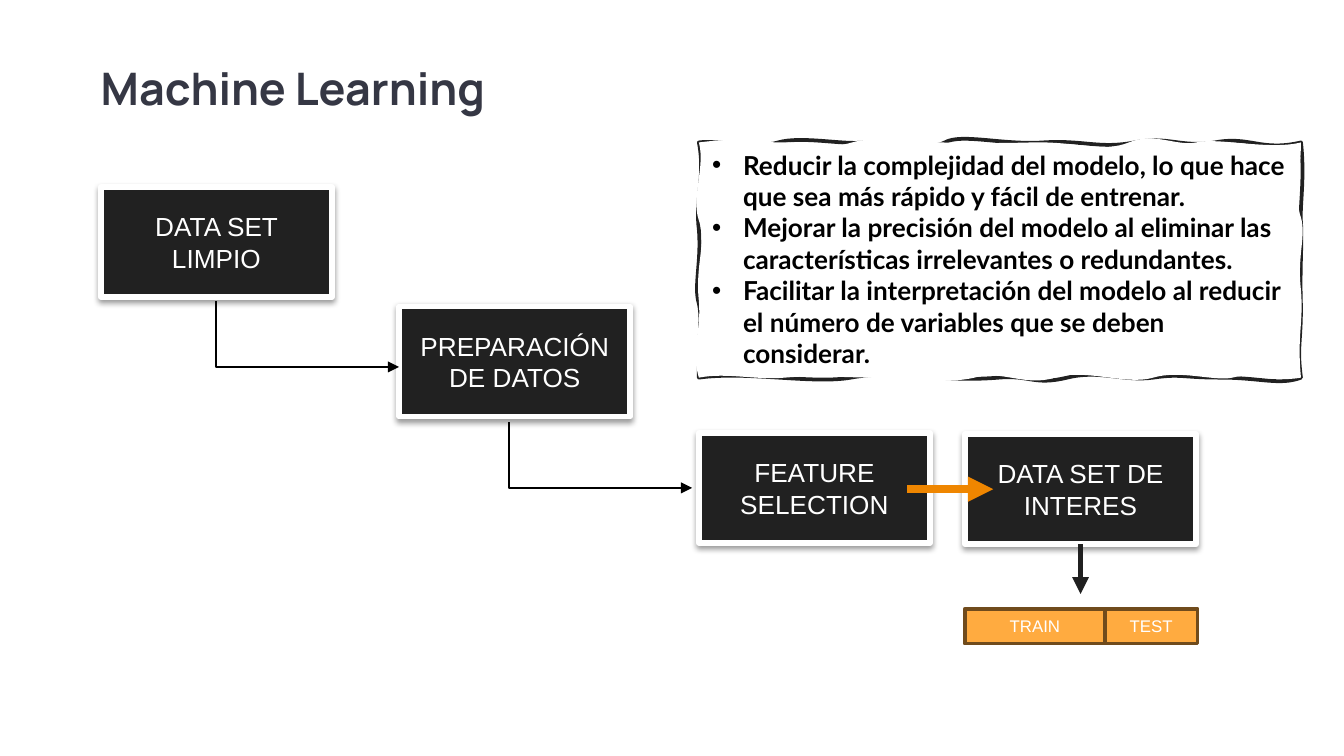
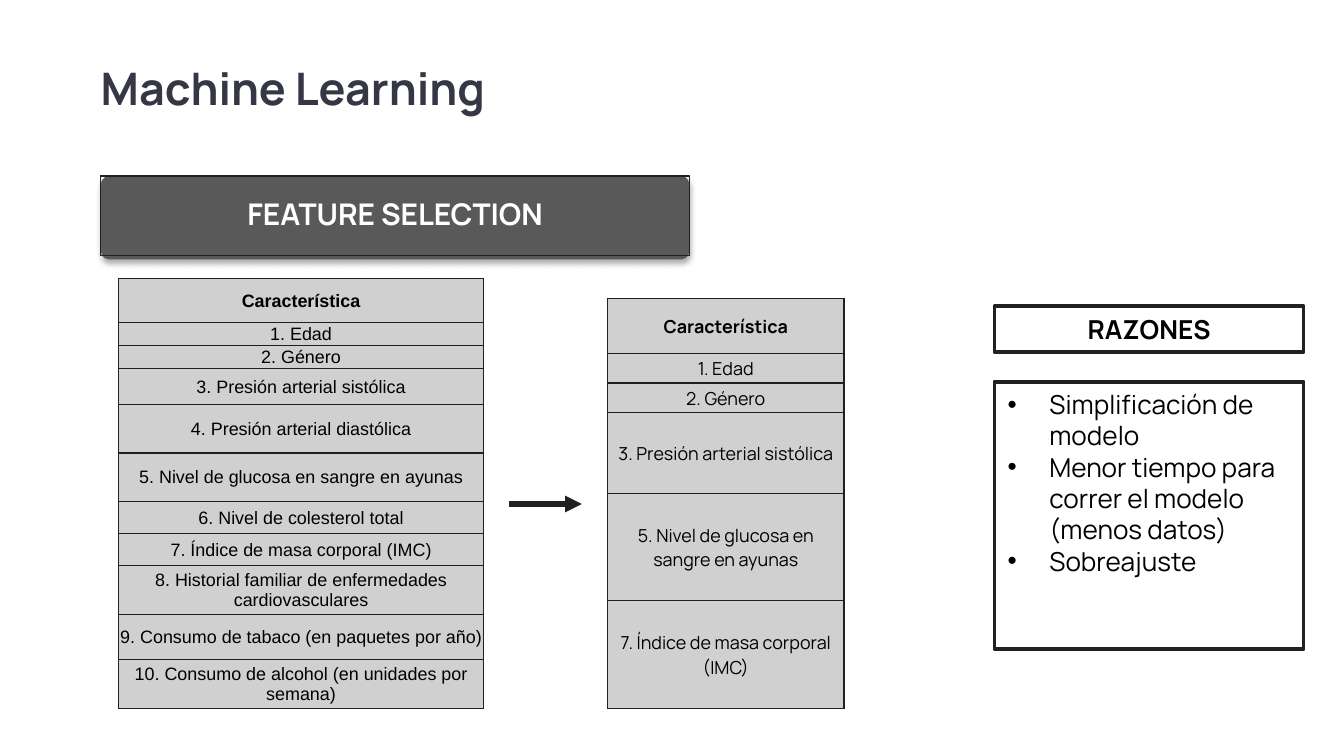
from dataclasses import dataclass
from typing import Any, Optional

import lxml.etree
import pptx
import pptx.dml.color
import pptx.enum.shapes
import pptx.enum.text
import pptx.oxml.ns
import pptx.util

Inches = pptx.util.Inches
Pt = pptx.util.Pt
SHAPES = pptx.enum.shapes.MSO_SHAPE
CONNECTORS = pptx.enum.shapes.MSO_CONNECTOR
ALIGN = pptx.enum.text.PP_ALIGN
ANCHOR = pptx.enum.text.MSO_ANCHOR

WHITE, BLACK, INK, LINE = "FFFFFF", "000000", "212121", "202020"
TITLE, BAND, CELL = "353744", "595959", "D0D0D0"
AMBER, BROWN, ORANGE = "FFAB40", "704B1C", "EF8600"


@dataclass(frozen=True)
class Frame:
    """Position and size in inches."""
    left: float
    top: float
    width: float
    height: float

    def lengths(self) -> tuple:
        """Return the four values as lengths."""
        return tuple(Inches(v) for v in (self.left, self.top, self.width, self.height))


@dataclass(frozen=True)
class TextStyle:
    """Look of the paragraphs in a box."""
    font: str
    size: float
    color: str
    bold: bool = False
    align: Any = ALIGN.CENTER
    anchor: Any = ANCHOR.MIDDLE
    spacing: Optional[float] = None
    bullet_indent: float = 0
    grow: bool = False
    margins: Optional[tuple] = None


@dataclass(frozen=True)
class BoxStyle:
    """Fill, outline and shadow of a box."""
    fill: Optional[str]
    line: Optional[str] = None
    width: float = 0
    shadow: Optional[tuple] = None


@dataclass(frozen=True)
class Stage:
    """One step of the workflow."""
    label: str
    left: float
    top: float


@dataclass(frozen=True)
class Arrow:
    """A straight arrow between two points."""
    start: tuple
    end: tuple
    color: str = LINE
    width: float = 3


@dataclass(frozen=True)
class FeatureTable:
    """A one-column list of features."""
    frame: Frame
    font: str
    rows: tuple


TITLE_TEXT = TextStyle("Manrope", 24, TITLE, True, ALIGN.LEFT, ANCHOR.TOP, 0.9,
                       margins=(0, 0, 0, 0))
STAGE_TEXT = TextStyle("Arial", 14, WHITE)
SPLIT_TEXT = TextStyle("Arial", 9, WHITE)
BENEFIT_TEXT = TextStyle("Lato", 14, BLACK, True, ALIGN.LEFT, ANCHOR.TOP,
                         bullet_indent=0.23, grow=True)
BAND_TEXT = TextStyle("Manrope", 16, WHITE, True, spacing=0.9, margins=(0.07,) * 4)
REASON_HEAD_TEXT = TextStyle("Manrope", 14, BLACK, True, anchor=ANCHOR.TOP, grow=True)
REASON_TEXT = TextStyle("Manrope", 14, BLACK, False, ALIGN.LEFT, ANCHOR.TOP,
                        bullet_indent=0.31, grow=True)

STAGE_BOX = BoxStyle(INK, WHITE, 3, (38, 3.1, 1.6))
SPLIT_BOX = BoxStyle(AMBER, BROWN, 2)
PANEL_BOX = BoxStyle(WHITE, INK, 2)
BAND_BOX = BoxStyle(BAND, shadow=(35, 3.1, 1.8))
BAND_FRAME_BOX = BoxStyle(None, INK, 0.75)

STAGES = (
    Stage("DATA SET LIMPIO", 0.75, 1.39),
    Stage("PREPARACIÓN DE DATOS", 2.97, 2.28),
    Stage("DATA SET DE INTERES", 7.18, 3.23),
    Stage("FEATURE SELECTION", 5.2, 3.22),
)
BENEFITS = (
    "Reducir la complejidad del modelo, lo que hace que sea más rápido y fácil de entrenar.",
    "Mejorar la precisión del modelo al eliminar las características irrelevantes o redundantes.",
    "Facilitar la interpretación del modelo al reducir el número de variables que se deben considerar.",
)
REASONS = ("Simplificación de modelo", "Menor tiempo para correr el modelo (menos datos)",
           "Sobreajuste")
HEADER, AGE, GENDER = "Característica", "1. Edad", "2. Género"
SYSTOLIC = "3. Presión arterial sistólica"
GLUCOSE = "5. Nivel de glucosa en sangre en ayunas"
BODY_MASS = "7. Índice de masa corporal (IMC)"
TABLES = (
    FeatureTable(Frame(0.88, 2.07, 2.72, 3.2), "Arial", (
        (HEADER, 0.33), (AGE, 0.17), (GENDER, 0.17), (SYSTOLIC, 0.27),
        ("4. Presión arterial diastólica", 0.36), (GLUCOSE, 0.36),
        ("6. Nivel de colesterol total", 0.24), (BODY_MASS, 0.24),
        ("8. Historial familiar de enfermedades cardiovasculares", 0.36),
        ("9. Consumo de tabaco (en paquetes por año)", 0.34),
        ("10. Consumo de alcohol (en unidades por semana)", 0.36))),
    FeatureTable(Frame(4.52, 2.22, 1.76, 3.05), "Manrope", (
        (HEADER, 0.41), (AGE, 0.22), (GENDER, 0.22), (SYSTOLIC, 0.6),
        (GLUCOSE, 0.8), (BODY_MASS, 0.8))),
)

SKETCH_FRAME = Frame(5.2, 1.06, 4.48, 1.75)
SKETCH_OUTLINE = (
    (534, 104, 562, 111, 579, 106), (596, 101, 628, 108, 643, 106),
    (658, 104, 690, 113, 703, 106), (715, 99, 746, 108, 776, 106),
    (806, 104, 818, 111, 844, 106), (870, 101, 878, 110, 904, 106),
    (930, 101, 938, 113, 968, 106), (971, 133, 967, 153, 968, 166),
    (969, 179, 967, 200, 968, 228), (968, 256, 965, 258, 968, 281),
    (952, 287, 938, 281, 908, 281), (879, 281, 879, 278, 858, 281),
    (836, 284, 818, 275, 794, 281), (769, 287, 767, 279, 743, 281),
    (719, 283, 704, 281, 692, 281), (681, 281, 661, 276, 633, 281),
    (605, 286, 556, 276, 520, 281), (519, 254, 523, 239, 520, 226),
    (516, 213, 522, 195, 520, 171), (517, 148, 525, 132, 520, 106),
)
SKETCH_FILL = (
    (551, 102, 557, 106, 584, 106), (610, 106, 617, 111, 634, 106),
    (651, 101, 671, 106, 694, 106), (716, 106, 732, 107, 767, 106),
    (802, 105, 820, 114, 840, 106), (859, 98, 875, 109, 890, 106),
    (906, 102, 944, 112, 968, 106), (968, 124, 963, 149, 968, 162),
    (972, 176, 965, 190, 968, 216), (970, 241, 965, 249, 968, 281),
    (945, 285, 931, 277, 917, 281), (904, 284, 878, 275, 858, 281),
    (838, 287, 808, 274, 785, 281), (762, 288, 746, 275, 725, 281),
    (704, 286, 675, 281, 652, 281), (629, 281, 606, 279, 584, 281),
    (562, 283, 541, 277, 520, 281), (513, 256, 522, 252, 520, 224),
    (517, 197, 526, 181, 520, 164), (514, 147, 525, 124, 520, 106),
)


def rgb(value: str) -> Any:
    """Turn a hex string into a colour."""
    return pptx.dml.color.RGBColor.from_string(value)


def add_child(parent: Any, tag: str, **attributes: Any) -> Any:
    """Append a drawing element to a parent."""
    return lxml.etree.SubElement(parent, pptx.oxml.ns.qn(f"a:{tag}"),
                                 {key: str(value) for key, value in attributes.items()})


def write_text(text_frame: Any, lines: tuple, style: TextStyle) -> None:
    """Write styled paragraphs into a text frame."""
    text_frame.word_wrap = True
    text_frame.vertical_anchor = style.anchor
    if style.grow:
        text_frame.auto_size = pptx.enum.text.MSO_AUTO_SIZE.SHAPE_TO_FIT_TEXT
    if style.margins:
        (text_frame.margin_left, text_frame.margin_top, text_frame.margin_right,
         text_frame.margin_bottom) = map(Inches, style.margins)
    text_frame.text = "\n".join(lines)
    for paragraph in text_frame.paragraphs:
        paragraph.alignment = style.align
        if style.spacing:
            paragraph.line_spacing = style.spacing
        if style.bullet_indent:
            indent = Inches(style.bullet_indent)
            properties = paragraph._p.get_or_add_pPr()
            properties.set("marL", str(indent))
            properties.set("indent", str(-indent))
            add_child(add_child(properties, "buClr"), "srgbClr", val=BLACK)
            add_child(properties, "buFont", typeface="Arial")
            add_child(properties, "buChar", char="•")
        set_font(paragraph, style)


def set_font(paragraph: Any, style: TextStyle) -> None:
    """Apply the font of a style to a paragraph."""
    font = paragraph.font
    font.name, font.size, font.bold = style.font, Pt(style.size), style.bold
    font.color.rgb = rgb(style.color)


def paint(shape: Any, style: BoxStyle) -> None:
    """Set fill, outline and shadow of a shape."""
    shape.shadow.inherit = False
    if style.fill:
        shape.fill.solid()
        shape.fill.fore_color.rgb = rgb(style.fill)
    else:
        shape.fill.background()
    if style.line:
        shape.line.color.rgb = rgb(style.line)
        shape.line.width = Pt(style.width)
    else:
        shape.line.fill.background()
    if style.shadow:
        alpha, blur, distance = style.shadow
        effects = shape.element.spPr.find(pptx.oxml.ns.qn("a:effectLst"))
        shadow = add_child(effects, "outerShdw", blurRad=Pt(blur), dist=Pt(distance),
                           dir=90 * 60000, algn="t", rotWithShape=0)
        add_child(add_child(shadow, "srgbClr", val=BLACK), "alpha", val=alpha * 1000)


def add_box(shapes: Any, frame: Frame, box: BoxStyle, lines: tuple = (),
            text: Optional[TextStyle] = None, kind: Any = SHAPES.RECTANGLE) -> Any:
    """Draw a box with optional text."""
    shape = shapes.add_shape(kind, *frame.lengths())
    paint(shape, box)
    if text:
        write_text(shape.text_frame, lines, text)
    return shape


def finish_arrow(connector: Any, color: str, width: float) -> None:
    """Give a connector its colour, width and arrowhead."""
    connector.line.color.rgb = rgb(color)
    connector.line.width = Pt(width)
    properties = connector.element.spPr
    add_child(properties.find(pptx.oxml.ns.qn("a:ln")), "tailEnd", type="triangle")
    add_child(properties, "effectLst")


def add_arrow(slide: Any, arrow: Arrow) -> Any:
    """Draw a straight arrow."""
    connector = slide.shapes.add_connector(
        CONNECTORS.STRAIGHT, *map(Inches, arrow.start + arrow.end))
    finish_arrow(connector, arrow.color, arrow.width)
    return connector


def add_corner_arrow(slide: Any, left: float, top: float) -> None:
    """Draw an arrow that goes down and then right."""
    across, down = 1.36, 0.49
    x, y = left + (across - down) / 2, top + (down - across) / 2
    connector = slide.shapes.add_connector(
        CONNECTORS.ELBOW, Inches(x + down), Inches(y), Inches(x), Inches(y + across))
    properties = connector.element.spPr
    properties.find(pptx.oxml.ns.qn("a:prstGeom")).set("prst", "bentConnector2")
    properties.find(pptx.oxml.ns.qn("a:xfrm")).set("rot", str(270 * 60000))
    finish_arrow(connector, BLACK, 1)


def add_sketch_panel(slide: Any, frame: Frame) -> None:
    """Draw the hand-drawn panel with the benefits."""
    left, top, width, height = frame.lengths()
    builder = slide.shapes.build_freeform(left, top)
    builder.add_line_segments(
        [(left + width, top), (left + width, top + height), (left, top + height)])
    shape = builder.convert_to_shape()
    contours = next(shape.element.iter(pptx.oxml.ns.qn("a:pathLst")))
    contours.remove(contours[0])
    origin = (round(frame.left * 100), round(frame.top * 100))
    for curves, flags in ((SKETCH_OUTLINE, {"fill": "none"}), (SKETCH_FILL, {"stroke": 0})):
        contour = add_child(contours, "path", w=round(frame.width * 100),
                            h=round(frame.height * 100), **flags)
        add_child(add_child(contour, "moveTo"), "pt", x=0, y=0)
        for curve in curves:
            bezier = add_child(contour, "cubicBezTo")
            for x, y in zip(curve[::2], curve[1::2]):
                add_child(bezier, "pt", x=x - origin[0], y=y - origin[1])
        add_child(contour, "close")
    paint(shape, PANEL_BOX)
    write_text(shape.text_frame, BENEFITS, BENEFIT_TEXT)


def add_feature_table(slide: Any, features: FeatureTable) -> None:
    """Draw a bordered one-column table."""
    table = slide.shapes.add_table(len(features.rows), 1, *features.frame.lengths()).table
    table.first_row = table.horz_banding = False
    for index, (label, height) in enumerate(features.rows):
        table.rows[index].height = Inches(height)
        cell = table.cell(index, 0)
        cell.text = label
        cell.vertical_anchor = ANCHOR.MIDDLE
        cell.margin_left = cell.margin_top = cell.margin_right = Inches(0.01)
        cell.margin_bottom = 0
        properties = cell._tc.get_or_add_tcPr()
        for side in ("lnL", "lnR", "lnT", "lnB"):
            border = add_child(properties, side, w=Pt(0.75))
            add_child(add_child(border, "solidFill"), "srgbClr", val=LINE)
        cell.fill.solid()
        cell.fill.fore_color.rgb = rgb(CELL)
        paragraph = cell.text_frame.paragraphs[0]
        paragraph.alignment = ALIGN.CENTER
        set_font(paragraph, TextStyle(features.font, 9.6, BLACK, index == 0))


def add_titled_slide(presentation: Any) -> Any:
    """Add a blank slide with the shared title."""
    slide = presentation.slides.add_slide(presentation.slide_layouts[6])
    title = slide.shapes.add_textbox(*Frame(0.75, 0.5, 7.44, 0.43).lengths())
    write_text(title.text_frame, ("Machine Learning",), TITLE_TEXT)
    return slide


def build_workflow(presentation: Any) -> None:
    """Build the slide with the workflow."""
    slide = add_titled_slide(presentation)
    boxes = {stage.label: add_box(slide.shapes, Frame(stage.left, stage.top, 1.72, 0.82),
                                  STAGE_BOX, (stage.label,), STAGE_TEXT)
             for stage in STAGES}
    for left, top in ((1.61, 2.24), (3.79, 3.14)):
        add_corner_arrow(slide, left, top)
    split = slide.shapes.add_group_shape()
    for label, left, width in (("TRAIN", 7.18, 1.04), ("TEST", 8.22, 0.69)):
        add_box(split.shapes, Frame(left, 4.53, width, 0.26), SPLIT_BOX, (label,), SPLIT_TEXT)
    down = add_arrow(slide, Arrow((8.04, 4.05), (8.04, 4.42)))
    down.begin_connect(boxes["DATA SET DE INTERES"], 2)
    add_arrow(slide, Arrow((6.75, 3.64), (7.39, 3.64), ORANGE, 4.5))
    add_sketch_panel(slide, SKETCH_FRAME)


def build_selection(presentation: Any) -> None:
    """Build the slide with the selected features."""
    slide = add_titled_slide(presentation)
    band = add_box(slide.shapes, Frame(0.75, 1.31, 4.38, 0.62), BAND_BOX,
                   kind=SHAPES.ROUNDED_RECTANGLE)
    band.adjustments[0] = 0.1
    add_box(slide.shapes, Frame(0.75, 1.31, 4.38, 0.59), BAND_FRAME_BOX,
            ("FEATURE SELECTION",), BAND_TEXT)
    for features in TABLES:
        add_feature_table(slide, features)
    add_arrow(slide, Arrow((3.79, 3.75), (4.33, 3.75)))
    add_box(slide.shapes, Frame(7.4, 2.84, 2.3, 1.99), PANEL_BOX, REASONS, REASON_TEXT)
    add_box(slide.shapes, Frame(7.4, 2.28, 2.3, 0.34), PANEL_BOX, ("RAZONES",), REASON_HEAD_TEXT)


def main() -> None:
    """Build and save the presentation."""
    presentation = pptx.Presentation()
    presentation.slide_width = Inches(10)
    presentation.slide_height = Inches(10 * 9 / 16)
    build_workflow(presentation)
    build_selection(presentation)
    presentation.save("out.pptx")


if __name__ == "__main__":
    main()
